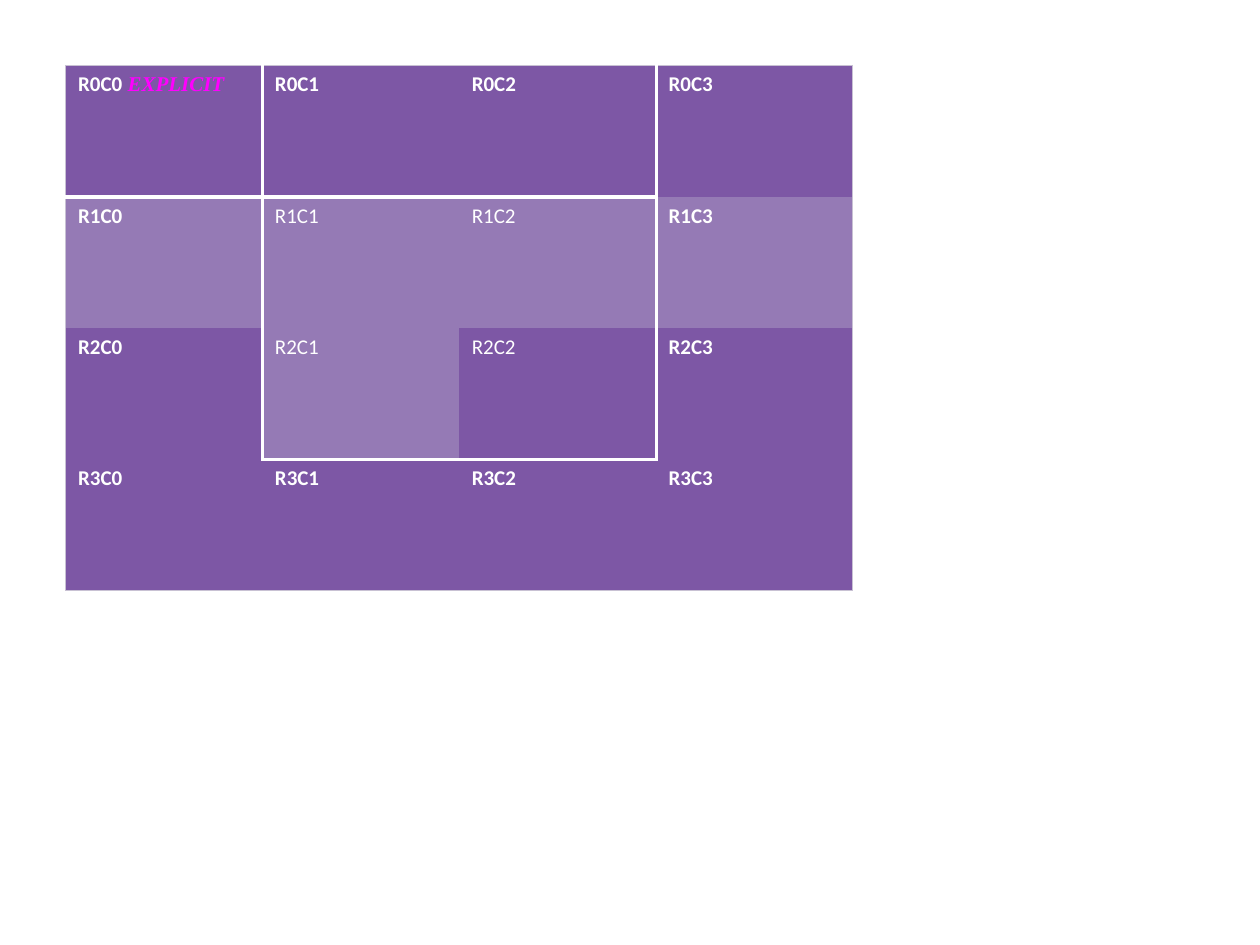
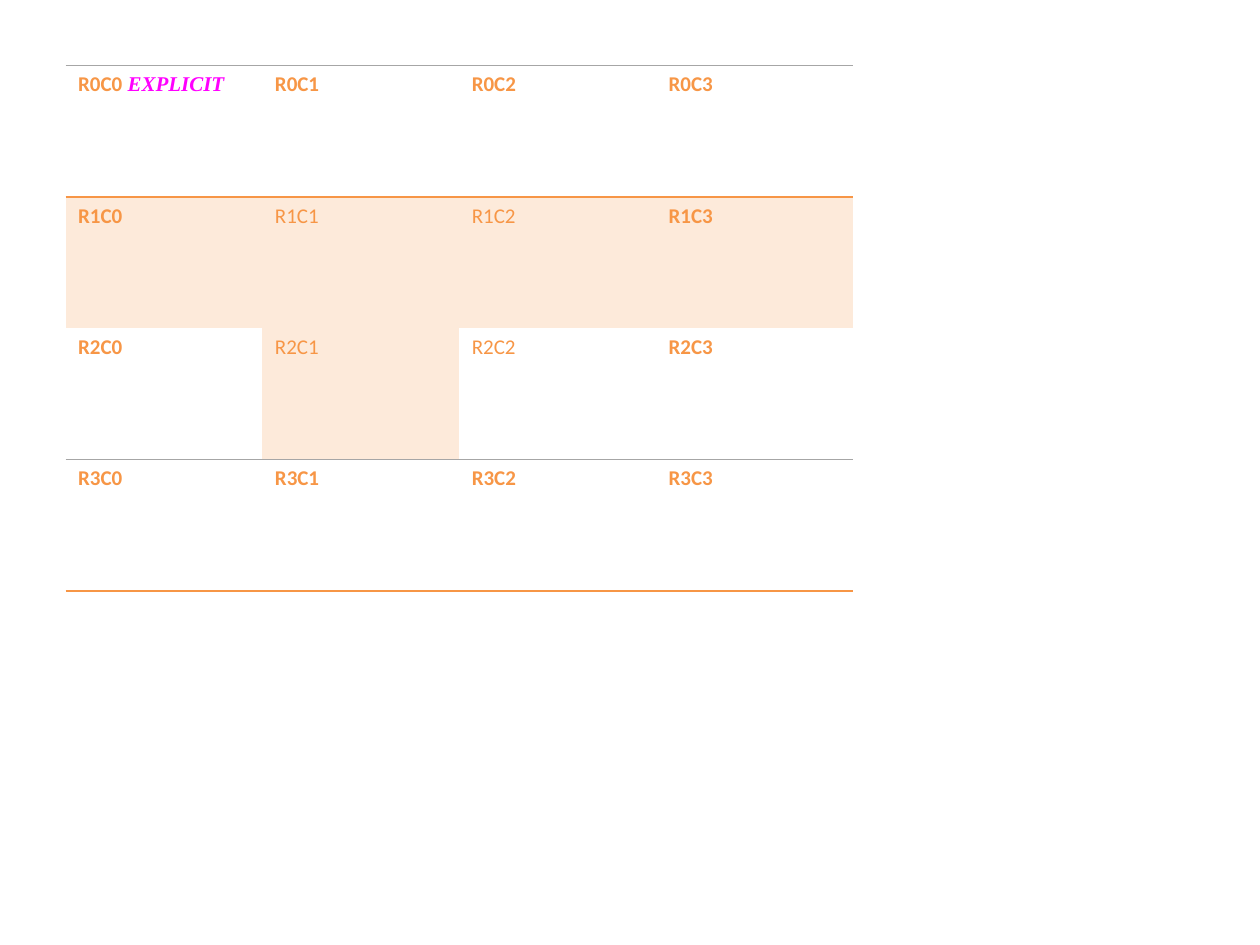
from dataclasses import dataclass
from typing import Optional

from lxml.etree import SubElement
from pptx import Presentation
from pptx.dml.color import RGBColor
from pptx.oxml.ns import qn
from pptx.util import Inches, Pt

# Shared page, grid and type
SLIDE_W, SLIDE_H = 10, 7.5
MARGIN = 0.52
TABLE_W, TABLE_H = SLIDE_W * 0.625, 4.17
GRID = 4
FONT, FONT_SIZE = "Calibri", 12
ACCENT_FONT, ACCENT_COLOR = "Times New Roman", "FF00FF"
PLAIN_STYLE = "{2D5ABB26-0587-4C30-8999-92F81FD0307C}"
BANDED = {(1, 0), (1, 1), (1, 2), (1, 3), (2, 1)}


@dataclass(frozen=True)
class Rule:
    """Line on grid line `at`, running over cells start to end - 1."""
    horizontal: bool
    at: int
    start: int
    end: int
    color: str
    width: float

    def covers(self, horizontal: bool, at: int, cell: int) -> bool:
        return (self.horizontal == horizontal and self.at == at
                and self.start <= cell < self.end)


@dataclass(frozen=True)
class TableTheme:
    text: str
    base: Optional[str]
    band: str
    rules: tuple[Rule, ...]


FRAME, WHITE, ORANGE, GREY = "C8C1D3", "FFFFFF", "F79646", "A6A6A6"

THEMES = (
    # Purple table: thin frame, white lines around the inner cells
    TableTheme(WHITE, "7D57A5", "957AB5", (
        *(Rule(h, at, 0, GRID, FRAME, 0.75)
          for h in (True, False) for at in (0, GRID)),
        *(Rule(False, at, 0, 3, WHITE, 2) for at in (1, 3)),
        Rule(True, 1, 0, 3, WHITE, 3),
        Rule(True, 3, 1, 3, WHITE, 2),
    )),
    # Orange table: horizontal lines only
    TableTheme(ORANGE, None, "FDEADA", tuple(
        Rule(True, at, 0, GRID, color, width) for at, color, width in
        ((0, GREY, 0.75), (1, ORANGE, 1.5), (3, GREY, 0.75), (4, ORANGE, 1))
    )),
)


def rgb(color: str) -> RGBColor:
    return RGBColor.from_string(color)


def draw_borders(cell, row: int, col: int, rules: tuple[Rule, ...]) -> None:
    tc_pr = cell._tc.get_or_add_tcPr()
    sides = (("L", False, col, row), ("R", False, col + 1, row),
             ("T", True, row, col), ("B", True, row + 1, col))
    for side, horizontal, at, pos in sides:
        ln = SubElement(tc_pr, qn(f"a:ln{side}"))
        rule = next((r for r in rules if r.covers(horizontal, at, pos)), None)
        if rule is None:
            SubElement(ln, qn("a:noFill"))
        else:
            ln.set("w", str(Pt(rule.width)))
            fill = SubElement(ln, qn("a:solidFill"))
            SubElement(fill, qn("a:srgbClr")).set("val", rule.color)


def fill_cell(cell, color: Optional[str]) -> None:
    if color is None:
        cell.fill.background()
    else:
        cell.fill.solid()
        cell.fill.fore_color.rgb = rgb(color)


def write_label(cell, row: int, col: int, color: str) -> None:
    p = cell.text_frame.paragraphs[0]
    p.font.size = Pt(FONT_SIZE)
    # Outer cells are bold, inner cells regular
    p.font.bold = row in (0, GRID - 1) or col in (0, GRID - 1)
    parts = [(f"R{row}C{col}", FONT, color, False)]
    if row == col == 0:
        parts.append((" EXPLICIT", ACCENT_FONT, ACCENT_COLOR, True))
    for text, font, run_color, italic in parts:
        r = p.add_run()
        r.text = text
        r.font.size, r.font.bold = p.font.size, p.font.bold
        r.font.name, r.font.italic = font, italic
        r.font.color.rgb = rgb(run_color)


def draw_table(s, theme: TableTheme) -> None:
    frame = s.shapes.add_table(GRID, GRID, Inches(MARGIN), Inches(MARGIN),
                               Inches(TABLE_W), Inches(TABLE_H))
    table = frame.table
    table.first_row = table.horz_banding = False
    table._tbl.tblPr.find(qn("a:tableStyleId")).text = PLAIN_STYLE
    for row in range(GRID):
        for col in range(GRID):
            cell = table.cell(row, col)
            draw_borders(cell, row, col, theme.rules)
            fill_cell(cell, theme.band if (row, col) in BANDED else theme.base)
            write_label(cell, row, col, theme.text)


def main() -> None:
    prs = Presentation()
    prs.slide_width, prs.slide_height = Inches(SLIDE_W), Inches(SLIDE_H)
    for theme in THEMES:
        draw_table(prs.slides.add_slide(prs.slide_layouts[6]), theme)
    prs.save("out.pptx")


if __name__ == "__main__":
    main()
